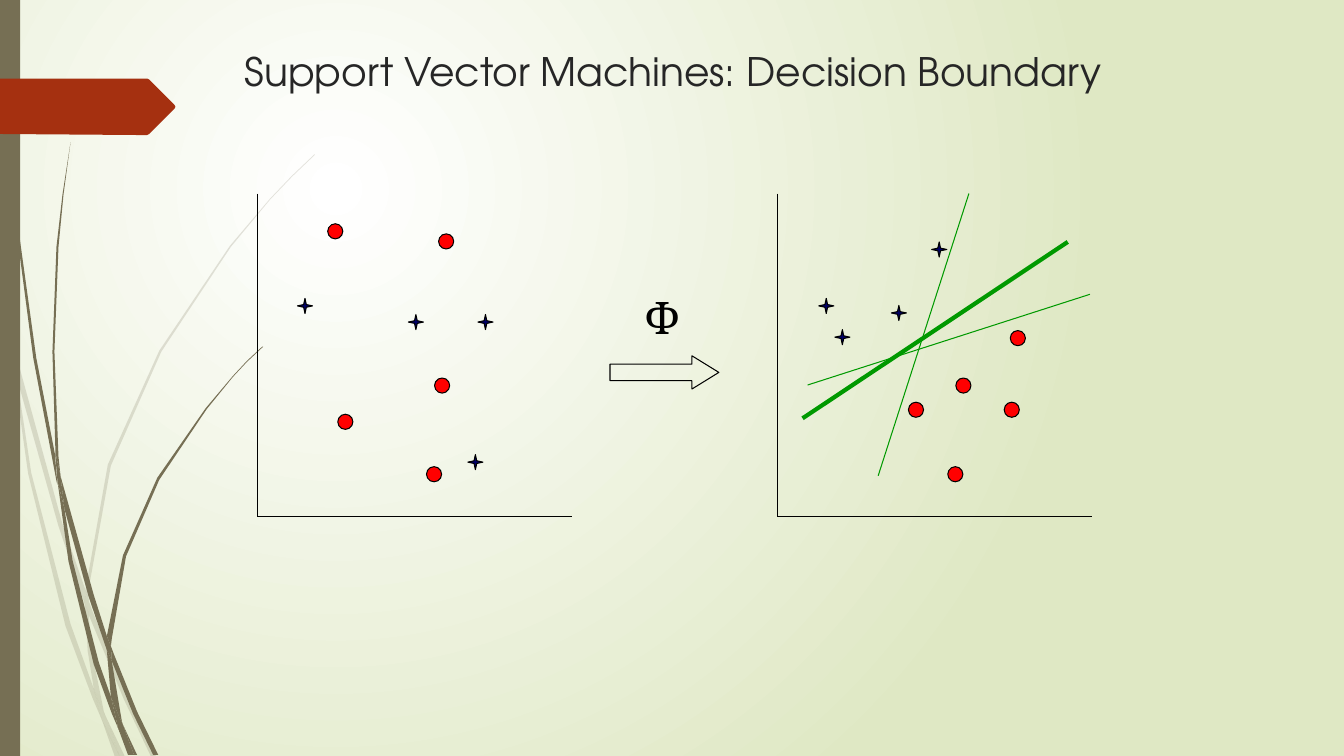
from dataclasses import dataclass

from lxml.etree import SubElement
from pptx import Presentation
from pptx.dml.color import RGBColor
from pptx.enum.shapes import MSO_CONNECTOR, MSO_SHAPE
from pptx.oxml.ns import qn
from pptx.util import Pt

PX = 9144  # EMU per px, 100 px to the inch
Point = tuple[int, int]

WHITE = RGBColor(0xFF, 0xFF, 0xFF)
PALE_GREEN = RGBColor(0xDF, 0xE8, 0xC4)
OLIVE = RGBColor(0x76, 0x6F, 0x54)
RUST = RGBColor(0xA5, 0x30, 0x10)
CHARCOAL = RGBColor(0x26, 0x26, 0x26)
BLACK = RGBColor(0, 0, 0)
NAVY = RGBColor(0, 0, 0x66)
RED = RGBColor(0xFF, 0, 0)
GREEN = RGBColor(0, 0x99, 0)

THIN, THICK = 0.75, 3
MARK_SIZE = 15
AXIS_TOP, AXIS_WIDTH, AXIS_HEIGHT = 192, 312, 320


@dataclass(frozen=True)
class Boundary:
    start: Point
    end: Point
    weight: float = THIN


@dataclass(frozen=True)
class Plot:
    """Marks and boundaries are measured from the top of the vertical axis."""
    left: int
    stars: tuple[Point, ...]
    dots: tuple[Point, ...]
    boundaries: tuple[Boundary, ...] = ()


@dataclass(frozen=True)
class Stems:
    opacity: int  # percent
    outlines: tuple[tuple[Point, ...], ...]


FEATURE_SPACE = Plot(
    771,
    stars=((153, 48), (113, 111), (57, 135), (41, 104)),
    dots=((177, 183), (225, 207), (169, 271), (231, 136), (130, 207)),
    boundaries=(Boundary((25, 223), (288, 48), THICK),
                Boundary((100, 280), (190, 0)),
                Boundary((30, 190), (310, 100))),
)
INPUT_SPACE = Plot(
    255,
    stars=((219, 120), (209, 259), (150, 120), (40, 104)),
    dots=((176, 183), (80, 219), (168, 271), (180, 40), (70, 30)),
)

FAINT_STEMS = Stems(20, (
    ((11, 350), (9, 322), (0, 282), (0, 299), (10, 344)),
    ((58, 522), (84, 599), (85, 586), (62, 520), (14, 345), (17, 376)),
    ((92, 607), (88, 596), (88, 610), (123, 694), (150, 751), (155, 751), (127, 692)),
    ((119, 751), (124, 751), (105, 711)),
    ((93, 683), (70, 619), (31, 469), (17, 376), (11, 350), (28, 470), (65, 621),
     (92, 693), (101, 714), (99, 707)),
    ((84, 599), (87, 646), (93, 683), (96, 692), (105, 711), (103, 706), (91, 646),
     (88, 610), (88, 608)),
    ((88, 584), (110, 462), (160, 349), (229, 245), (268, 198), (290, 175), (312, 154),
     (312, 153), (289, 175), (268, 197), (228, 244), (158, 348), (107, 461), (85, 584),
     (85, 586), (88, 596)),
    ((101, 714), (114, 751), (119, 751)),
    ((88, 608), (88, 610), (88, 596), (85, 586), (84, 599)),
    ((96, 692), (93, 683), (99, 707), (101, 714), (119, 751), (105, 711)),
))
SOLID_STEMS = Stems(100, (
    ((7, 110), (17, 233), (33, 355), (56, 477), (57, 481), (55, 457), (55, 453),
     (36, 355), (19, 232), (8, 109), (5, 48), (4, 0), (3, 0), (4, 48)),
    ((88, 592), (106, 645), (106, 633), (106, 631), (93, 590), (60, 472), (64, 505)),
    ((113, 649), (110, 641), (111, 656), (132, 708), (152, 749), (157, 749), (136, 706)),
    ((110, 691), (98, 657), (72, 556), (64, 505), (57, 477), (68, 557), (93, 659),
     (111, 708), (117, 722), (116, 717)),
    ((60, 472), (58, 453), (54, 349), (58, 245), (63, 193), (70, 141), (62, 193),
     (56, 245), (52, 349), (55, 449)),
    ((133, 749), (136, 749), (122, 719)),
    ((57, 477), (64, 505), (60, 472), (55, 449), (55, 453)),
    ((111, 633), (125, 552), (158, 476), (205, 406), (231, 374), (245, 359), (261, 344),
     (260, 344), (245, 358), (231, 373), (204, 405), (156, 474), (122, 551), (106, 631),
     (110, 641)),
    ((117, 722), (127, 749), (131, 749)),
    ((106, 645), (110, 691), (116, 706), (122, 719), (121, 716), (111, 656), (109, 651)),
    ((106, 645), (109, 651), (111, 656), (110, 641), (106, 631), (106, 633)),
    ((116, 706), (110, 691), (116, 717), (117, 722), (130, 749), (133, 749), (122, 719)),
))
TAG_OUTLINE = ((173, 108), (148, 133), (146, 134), (136, 134), (0, 133), (0, 78),
               (136, 78), (146, 78), (148, 79), (173, 104), (174, 106))


def paint(shape, fill: RGBColor | None, line: RGBColor | None = None) -> None:
    shape.shadow.inherit = False
    if fill is None:
        shape.fill.background()
    else:
        shape.fill.solid()
        shape.fill.fore_color.rgb = fill
    if line is None:
        shape.line.fill.background()
    else:
        shape.line.color.rgb = line
        shape.line.width = Pt(THIN)


def add_preset(shapes, kind: MSO_SHAPE, left: int, top: int, width: int, height: int,
               fill: RGBColor | None, line: RGBColor | None = None):
    shape = shapes.add_shape(kind, left * PX, top * PX, width * PX, height * PX)
    paint(shape, fill, line)
    return shape


def add_outline(shapes, points: tuple[Point, ...], fill: RGBColor, opacity: int = 100) -> None:
    builder = shapes.build_freeform(*points[0], scale=PX)
    builder.add_line_segments(points[1:], close=True)
    shape = builder.convert_to_shape()
    paint(shape, fill)
    if opacity < 100:
        color = shape._element.spPr.find(qn("a:solidFill"))[0]
        SubElement(color, qn("a:alpha"), val=str(opacity * 1000))


def add_line(shapes, start: Point, end: Point, color: RGBColor, weight: float = THIN) -> None:
    ends = [value * PX for value in (*start, *end)]
    line = shapes.add_connector(MSO_CONNECTOR.STRAIGHT, *ends)
    line.line.color.rgb = color
    line.line.width = Pt(weight)
    SubElement(line._element.spPr, qn("a:effectLst"))


def add_text(shapes, text: str, *, left: int, top: int, width: int, height: int,
             size: int, font: str, color: RGBColor, wrap: bool = True) -> None:
    box = shapes.add_textbox(left * PX, top * PX, width * PX, height * PX)
    box.text_frame.word_wrap = wrap
    span = box.text_frame.paragraphs[0].add_run()
    span.text = text
    span.font.size = Pt(size)
    span.font.name = font
    span.font.color.rgb = color


def add_plot(page, plot: Plot) -> None:
    shapes = page.shapes.add_group_shape().shapes

    def place(point: Point) -> Point:
        return plot.left + point[0], AXIS_TOP + point[1]

    corner = place((0, AXIS_HEIGHT))
    add_line(shapes, place((0, 0)), corner, BLACK)
    add_line(shapes, corner, place((AXIS_WIDTH, AXIS_HEIGHT)), BLACK)
    for kind, points, fill in ((MSO_SHAPE.STAR_4_POINT, plot.stars, NAVY),
                               (MSO_SHAPE.OVAL, plot.dots, RED)):
        for point in points:
            add_preset(shapes, kind, *place(point), MARK_SIZE, MARK_SIZE, fill, BLACK)
    for edge in plot.boundaries:
        add_line(shapes, place(edge.start), place(edge.end), GREEN, edge.weight)


def set_background(page) -> None:
    fill = page.background.fill
    fill.gradient()
    for stop, color in zip(fill.gradient_stops, (WHITE, PALE_GREEN)):
        stop.color.rgb = color
    # Radial gradient centred a quarter of the way in from the top left
    gradient = page._element.find(".//" + qn("a:gradFill"))
    gradient.remove(gradient.find(qn("a:lin")))
    circle = SubElement(gradient, qn("a:path"), {"path": "circle"})
    SubElement(circle, qn("a:fillToRect"), l="50000", t="50000", r="100000", b="100000")


def main() -> None:
    deck = Presentation()
    deck.slide_width, deck.slide_height = 1333 * PX, 750 * PX
    page = deck.slides.add_slide(deck.slide_layouts[6])
    set_background(page)

    # Stems, side bar and tag
    for stems in (FAINT_STEMS, SOLID_STEMS):
        group = page.shapes.add_group_shape()
        for outline in stems.outlines:
            add_outline(group.shapes, outline, OLIVE, stems.opacity)
    add_preset(page.shapes, MSO_SHAPE.RECTANGLE, 0, 0, 20, 750, OLIVE)
    add_outline(page.shapes, TAG_OUTLINE, RUST)

    # Title
    add_text(page.shapes, "Support Vector Machines: Decision Boundary", left=233, top=42,
             width=875, height=100, size=28, font="TeX Gyre Adventor", color=CHARCOAL)

    # Both plots, with the mapping between them
    add_plot(page, FEATURE_SPACE)
    add_plot(page, INPUT_SPACE)
    arrow = add_preset(page.shapes, MSO_SHAPE.RIGHT_ARROW, 605, 353, 108, 33, None, BLACK)
    arrow.adjustments[1] = 0.81
    add_text(page.shapes, "Ф", left=630, top=283, width=55, height=63, size=32,
             font="Cambria", color=BLACK, wrap=False)

    deck.save("out.pptx")


if __name__ == "__main__":
    main()
